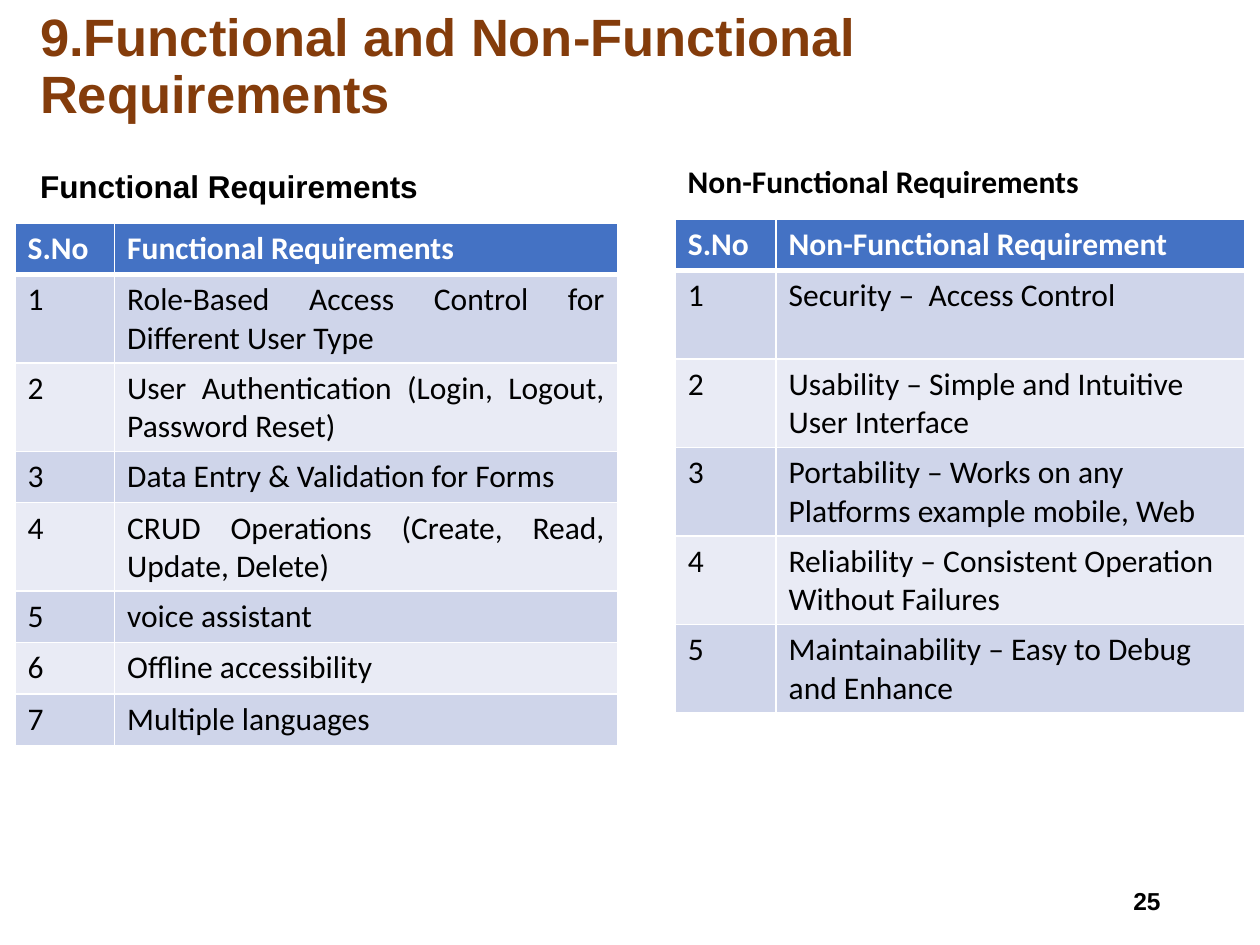
from collections import namedtuple

from pptx import Presentation
from pptx.dml.color import RGBColor
from pptx.enum.text import MSO_ANCHOR as Anchor, PP_ALIGN as Align
from pptx.oxml import parse_xml
from pptx.oxml.ns import nsdecls
from pptx.util import Inches, Pt

# The slide is a grid of 100 columns by 75 rows.
COLUMNS, ROWS = 100, 75
CELL = Inches(10) // COLUMNS
ONE_LINE, TWO_LINES = 4.08, 7.02

COLORS = {
    "title": "843C0B",
    "text": "000000",
    "white": "FFFFFF",
    "header": "4472C4",
    "odd": "CFD5EA",
    "even": "E9EBF5",
}

Box = namedtuple("Box", "left top width height")

FUNCTIONAL = [
    ("Role-Based Access Control for Different User Type", TWO_LINES),
    ("User Authentication (Login, Logout, Password Reset)", TWO_LINES),
    ("Data Entry & Validation for Forms", ONE_LINE),
    ("CRUD Operations (Create, Read, Update, Delete)", TWO_LINES),
    ("voice assistant", ONE_LINE),
    ("Offline accessibility", ONE_LINE),
    ("Multiple languages", ONE_LINE),
]
NON_FUNCTIONAL = [
    ("Security –  Access Control", TWO_LINES),
    ("Usability – Simple and Intuitive User Interface", TWO_LINES),
    ("Portability – Works on any Platforms example mobile, Web", TWO_LINES),
    ("Reliability – Consistent Operation Without Failures", TWO_LINES),
    ("Maintainability – Easy to Debug and Enhance", TWO_LINES),
]


def grid(count):
    return round(count * CELL)


def write(frame, text, size=18, face="Calibri", color="text", bold=True, align=Align.LEFT):
    paragraph = frame.paragraphs[0]
    paragraph.alignment = align
    run = paragraph.add_run()
    run.text = text
    run.font.size = Pt(size)
    run.font.name = face
    run.font.bold = bold
    run.font.color.rgb = RGBColor.from_string(COLORS[color])
    return paragraph


def add_text(slide, box, text, anchor=Anchor.TOP, **style):
    frame = slide.shapes.add_textbox(*map(grid, box)).text_frame
    frame.word_wrap = True
    frame.vertical_anchor = anchor
    return write(frame, text, **style)


def add_title(slide, box):
    title = add_text(slide, box, "9.Functional and Non-Functional Requirements",
                     anchor=Anchor.MIDDLE, size=30, face="Arial", color="title")
    title.line_spacing = 0.9


def set_borders(cell, bottom):
    properties = cell._tc.get_or_add_tcPr()
    for side, points in (("L", 1), ("R", 1), ("T", 1), ("B", bottom)):
        properties.append(parse_xml(
            f'<a:ln{side} {nsdecls("a")} w="{Pt(points)}"><a:solidFill>'
            f'<a:srgbClr val="{COLORS["white"]}"/></a:solidFill></a:ln{side}>'))


def add_requirements(slide, box, number_width, header, requirements, align):
    """Numbered table; rows take their own heights from the box's top."""
    rows = [("S.No", header, ONE_LINE)]
    rows += [(str(n), text, height) for n, (text, height) in enumerate(requirements, 1)]
    table = slide.shapes.add_table(len(rows), 2, *map(grid, box)).table
    table.columns[0].width = grid(number_width)
    table.columns[1].width = grid(box.width - number_width)
    for index, (number, text, height) in enumerate(rows):
        table.rows[index].height = grid(height)
        is_header = index == 0
        fill = "header" if is_header else "odd" if index % 2 else "even"
        for column, (content, alignment) in enumerate(((number, Align.LEFT), (text, align))):
            cell = table.cell(index, column)
            set_borders(cell, 3 if is_header else 1)
            cell.fill.solid()
            cell.fill.fore_color.rgb = RGBColor.from_string(COLORS[fill])
            write(cell.text_frame, content, bold=is_header, align=alignment,
                  color="white" if is_header else "text")


def main():
    deck = Presentation()
    deck.slide_width, deck.slide_height = grid(COLUMNS), grid(ROWS)
    slide = deck.slides.add_slide(deck.slide_layouts[6])

    add_title(slide, Box(2.2, 1.3, 95.6, 8.2))
    add_text(slide, Box(2.2, 12.8, 46, 4), "Functional Requirements", face="Arial")
    add_requirements(slide, Box(1.2, 17.7, 47.8, 41.3), 7.9,
                     "Functional Requirements", FUNCTIONAL, Align.JUSTIFY)
    add_text(slide, Box(53.6, 12.4, 45.2, 4), "Non-Functional Requirements")
    add_requirements(slide, Box(53.6, 17.4, 45.2, 39.1), 8,
                     "Non-Functional Requirement", NON_FUNCTIONAL, Align.LEFT)
    add_text(slide, Box(70.6, 69.5, 22.5, 4), "25", anchor=Anchor.MIDDLE,
             size=14, face="Arial", align=Align.RIGHT)
    deck.save("out.pptx")


if __name__ == "__main__":
    main()
